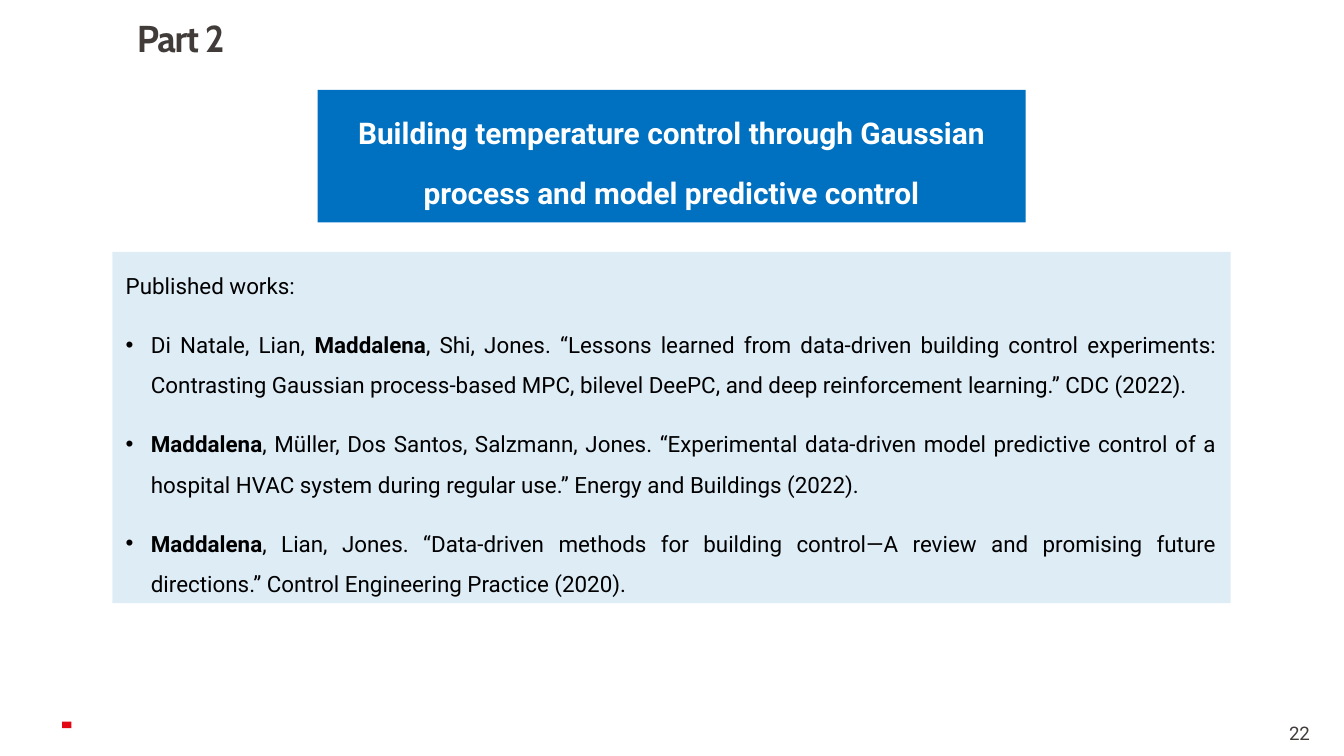
import dataclasses

import lxml.etree
import pptx
import pptx.dml.color
import pptx.enum.shapes
import pptx.enum.text
import pptx.oxml.ns
import pptx.util

PX = 5715  # EMU per px, 160 px to the inch
ALIGN = pptx.enum.text.PP_ALIGN
ANCHOR = pptx.enum.text.MSO_ANCHOR
pt = pptx.util.Pt
qn = pptx.oxml.ns.qn


@dataclasses.dataclass(frozen=True)
class Theme:
    blue: str = "0070C0"
    red: str = "E30613"
    dark: str = "413C3A"
    white: str = "FFFFFF"
    black: str = "000000"
    head: str = "Cabin"
    body: str = "Roboto"
    title: int = 20
    banner: int = 16
    text: int = 12
    small: int = 10
    tint: int = 13  # opacity of the panel, percent


THEME = Theme()

# Each work: authors before, the bold author, the rest
WORKS = [
    ("Di Natale, Lian, ", "Maddalena",
     ", Shi, Jones. “Lessons learned from data-driven building control "
     "experiments: Contrasting Gaussian process-based MPC, bilevel DeePC, "
     "and deep reinforcement learning.” CDC (2022)."),
    ("", "Maddalena",
     ", Müller, Dos Santos, Salzmann, Jones. “Experimental data-driven model "
     "predictive control of a hospital HVAC system during regular use.” "
     "Energy and Buildings (2022)."),
    ("", "Maddalena",
     ", Lian, Jones. “Data-driven methods for building control—A review and "
     "promising future directions.” Control Engineering Practice (2020)."),
]


def rgb(code):
    return pptx.dml.color.RGBColor.from_string(code)


def emu(box):
    return [n * PX for n in box]


def add_rect(slide, box, color):
    kind = pptx.enum.shapes.MSO_SHAPE.RECTANGLE
    rect = slide.shapes.add_shape(kind, *emu(box))
    rect.shadow.inherit = False
    rect.fill.solid()
    rect.fill.fore_color.rgb = rgb(color)
    rect.line.fill.background()
    return rect


def set_frame(shape, inset, anchor=ANCHOR.TOP):
    frame = shape.text_frame
    frame.word_wrap = True
    frame.vertical_anchor = anchor
    (frame.margin_left, frame.margin_top,
     frame.margin_right, frame.margin_bottom) = emu(inset)
    return frame


def style(para, face, size, color, align, bold=None):
    para.alignment = align
    font = para.font
    font.name, font.size, font.bold = face, pt(size), bold
    font.color.rgb = rgb(color)


def add_bullet(para, indent):
    props = para._p.get_or_add_pPr()
    props.set("marL", str(indent * PX))
    props.set("indent", str(-indent * PX))
    lxml.etree.SubElement(props, qn("a:buFont")).set("typeface", "Arial")
    lxml.etree.SubElement(props, qn("a:buChar")).set("char", "•")


def add_title(slide, box, text):
    label = slide.shapes.add_textbox(*emu(box))
    para = set_frame(label, (32, 0, 13, 8), ANCHOR.MIDDLE).paragraphs[0]
    run = para.add_run()
    run.text = text
    run._r.get_or_add_rPr().set("spc", "-70")
    style(para, THEME.head, THEME.title, THEME.dark, ALIGN.LEFT, True)


def add_banner(slide, box, text):
    rect = add_rect(slide, box, THEME.blue)
    para = set_frame(rect, (16, 0, 16, 19)).paragraphs[0]
    para.add_run().text = text
    para.line_spacing = pt(32.4)
    para.space_after = pt(4)
    style(para, THEME.body, THEME.banner, THEME.white, ALIGN.CENTER, True)


def add_works(slide, box, head, works):
    panel = add_rect(slide, box, THEME.blue)
    color = panel._element.spPr.find(qn("a:solidFill"))[0]
    alpha = lxml.etree.SubElement(color, qn("a:alpha"))
    alpha.set("val", str(THEME.tint * 1000))
    frame = set_frame(panel, (16, 8, 16, 8))
    frame.auto_size = pptx.enum.text.MSO_AUTO_SIZE.SHAPE_TO_FIT_TEXT
    for i, parts in enumerate([(head,), *works]):
        para = frame.add_paragraph() if i else frame.paragraphs[0]
        para.line_spacing = 1.5
        para.space_after = pt(10)
        if i:
            add_bullet(para, 30)
        style(para, THEME.body, THEME.text, THEME.black, ALIGN.JUSTIFY)
        for j, part in enumerate(parts):
            if part:
                run = para.add_run()
                run.text = part
                run.font.bold = j == 1


def add_footer(slide, box, number):
    left, top, width, height = box
    # Red mark at the left, page number at the right
    add_rect(slide, (left, top, 11, 8), THEME.red)
    label = slide.shapes.add_textbox(*emu((left + width - 90, top, 90, height)))
    para = set_frame(label, (16, 0, 16, 0)).paragraphs[0]
    para.add_run().text = number
    style(para, THEME.body, THEME.small, THEME.dark, ALIGN.CENTER)


def main():
    deck = pptx.Presentation()
    deck.slide_width, deck.slide_height = emu((1600, 900))
    slide = deck.slides.add_slide(deck.slide_layouts[6])
    add_footer(slide, (74, 859, 1518, 29), "22")
    add_title(slide, (131, 14, 762, 70), "Part 2")
    add_banner(slide, (378, 107, 843, 158),
               "Building temperature control through Gaussian process "
               "and model predictive control")
    add_works(slide, (134, 300, 1331, 418), "Published works:", WORKS)
    deck.save("out.pptx")


if __name__ == "__main__":
    main()
